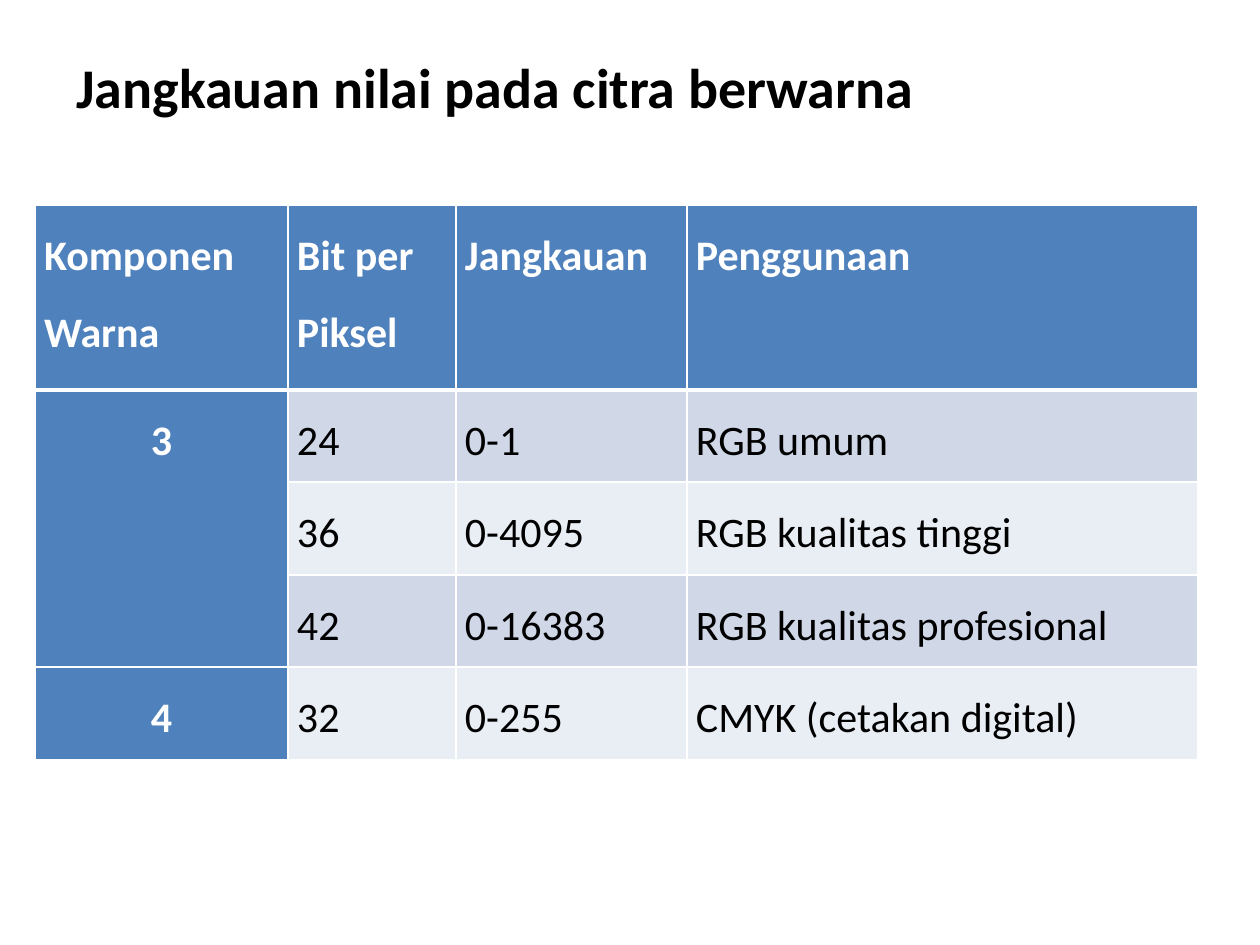
"""Build a slide with a table of value ranges for colour images."""
from lxml import etree
from pptx import Presentation
from pptx import util as u
from pptx.dml.color import RGBColor
from pptx.enum import text
from pptx.oxml import ns

PX = u.Inches(1) / 126
THEME = {
    "font": "Calibri", "title_size": 32, "table_size": 24,
    "ink": "000000", "paper": "FFFFFF", "header": "4F81BD",
    "bands": ("D0D8E8", "E9EDF4"),
}
LEFT, CENTER, JUSTIFY = (text.PP_ALIGN.LEFT, text.PP_ALIGN.CENTER, text.PP_ALIGN.JUSTIFY)


def px(length):
    return u.Emu(round(length * PX))


def write(frame, content, *, size, color, bold=False, align=LEFT, spacing=1.0):
    frame.word_wrap = True
    paragraph = frame.paragraphs[0]
    paragraph.alignment = align
    paragraph.line_spacing = spacing
    run = paragraph.add_run()
    run.text = content
    run.font.name = THEME["font"]
    run.font.size = u.Pt(size)
    run.font.bold = bold
    run.font.color.rgb = RGBColor.from_string(color)


presentation = Presentation()
presentation.slide_width, presentation.slide_height = px(1260), px(945)
slide = presentation.slides.add_slide(presentation.slide_layouts[6])

title = slide.shapes.add_textbox(px(64), px(46), px(1134), px(100))
write(title.text_frame, "Jangkauan nilai pada citra berwarna",
      size=THEME["title_size"], color=THEME["ink"], bold=True)

rows = [
    ("Komponen Warna", "Bit per Piksel", "Jangkauan", "Penggunaan"),
    ("3", "24", "0-1", "RGB umum"),
    ("", "36", "0-4095", "RGB kualitas tinggi"),
    ("", "42", "0-16383", "RGB kualitas profesional"),
    ("4", "32", "0-255", "CMYK (cetakan digital)"),
]
column_widths = (253, 168, 231, 511)
row_heights = (185, 92, 93, 92, 93)

table = slide.shapes.add_table(len(rows), len(column_widths), px(35), px(205),
                               px(sum(column_widths)), px(sum(row_heights))).table
for column, width in zip(table.columns, column_widths):
    column.width = px(width)
for row, height in zip(table.rows, row_heights):
    row.height = px(height)
table.cell(1, 0).merge(table.cell(3, 0))

for row_index, values in enumerate(rows):
    for column_index, value in enumerate(values):
        cell = table.cell(row_index, column_index)
        is_header = row_index == 0 or column_index == 0
        cell.margin_left = cell.margin_right = px(9)
        cell.margin_top = cell.margin_bottom = 0

        properties = cell._tc.get_or_add_tcPr()
        for side in ("L", "R", "T", "B"):
            under_header = (row_index, side) in ((0, "B"), (1, "T"))
            border = etree.SubElement(properties, ns.qn(f"a:ln{side}"),
                                      w=str(u.Pt(3 if under_header else 1)))
            paint = etree.SubElement(border, ns.qn("a:solidFill"))
            etree.SubElement(paint, ns.qn("a:srgbClr"), val=THEME["paper"])

        cell.fill.solid()
        fill = THEME["header"] if is_header else THEME["bands"][(row_index - 1) % 2]
        cell.fill.fore_color.rgb = RGBColor.from_string(fill)

        if column_index == 0 and row_index > 0:
            align = CENTER
        elif column_index == 3 or (row_index == 0 and column_index != 1):
            align = JUSTIFY
        else:
            align = LEFT
        if value:
            write(cell.text_frame, value, size=THEME["table_size"], bold=is_header,
                  color=THEME["paper" if is_header else "ink"], align=align, spacing=1.5)

presentation.save("out.pptx")
